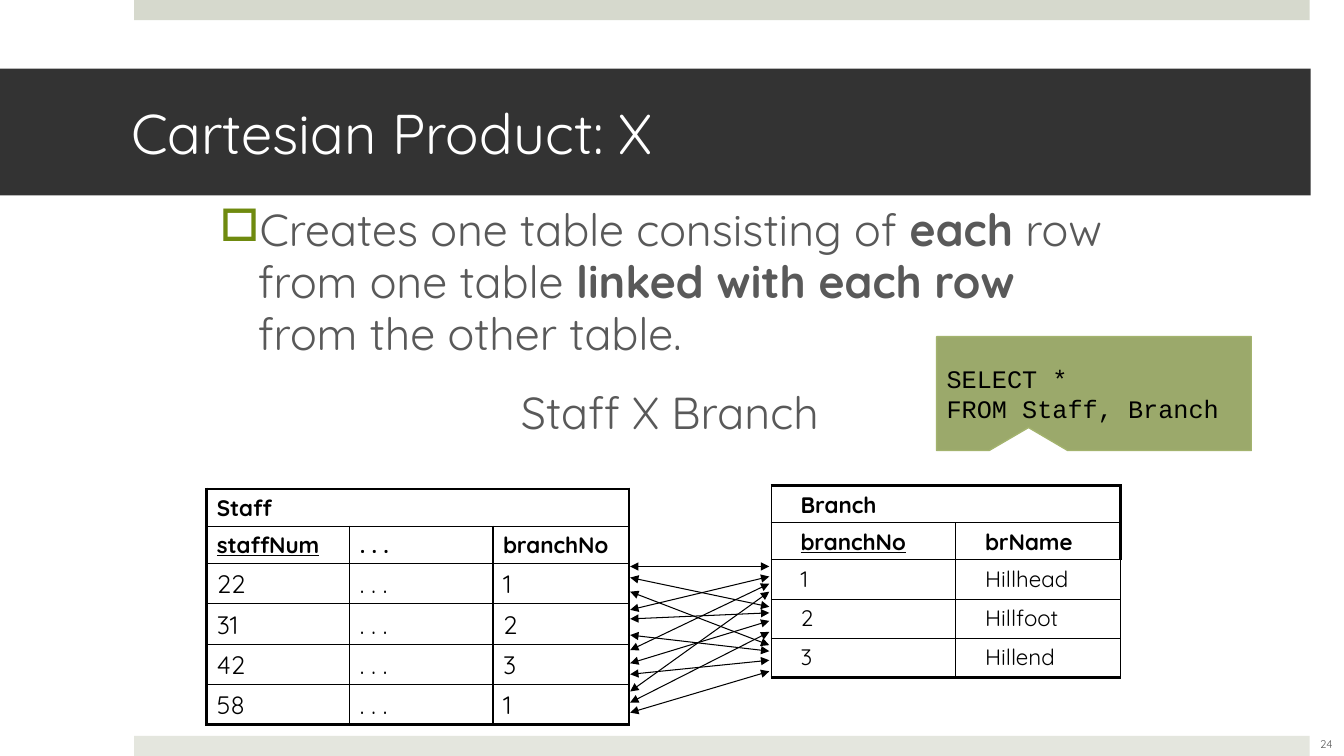
import pptx
import pptx.util
import pptx.dml.color
import pptx.enum.shapes
import pptx.enum.text
from lxml import etree
from pptx.oxml.ns import qn
from pptx.util import Inches, Pt

Color = pptx.dml.color.RGBColor.from_string
Shape = pptx.enum.shapes.MSO_SHAPE
Align = pptx.enum.text.PP_ALIGN
Anchor = pptx.enum.text.MSO_ANCHOR


class Theme:
    sans, mono = "Quicksand", "Courier New"
    black, white, dark, gray = "000000", "FFFFFF", "333333", "595959"
    top, foot, mark = "D6D9CD", "E4E6DE", "6F8A0F"
    note, edge = "9BA96B", "A3B36E"
    title, body, code, large, cell, page = 40, 32, 18, 18, 16, 8
    thin, thick, arrow = 1, 2.25, 0.75


def write(para, text, size, color, font=Theme.sans, **form):
    """Add a run to the paragraph; form holds further font attributes."""
    run = para.add_run()
    run.text = text
    run.font.color.rgb = Color(color)
    for key, value in {"name": font, "size": Pt(size), **form}.items():
        setattr(run.font, key, value)


def border(cell, sides):
    """Draw cell edges; sides maps L, R, T and B to widths in points."""
    props = cell._tc.get_or_add_tcPr()
    for place, side in enumerate("LRTB"):
        line = etree.Element(qn(f"a:ln{side}"), w=str(Pt(sides[side])))
        fill = etree.SubElement(line, qn("a:solidFill"))
        etree.SubElement(fill, qn("a:srgbClr"), val=Theme.black)
        props.insert(place, line)


deck = pptx.Presentation()
deck.slide_width, deck.slide_height = Inches(13.33), Inches(7.5)
slide = deck.slides.add_slide(deck.slide_layouts[5])
shapes = slide.shapes

# Bands at the top and foot of the page
for y, color in ((0, Theme.top), (7.3, Theme.foot)):
    band = shapes.add_shape(Shape.RECTANGLE, Inches(1.33), Inches(y), Inches(11.66), Inches(0.2))
    band.shadow.inherit = False
    band.fill.solid()
    band.fill.fore_color.rgb = Color(color)
    band.line.fill.background()

# Title
title = shapes.title
spot = {"left": 0, "top": 0.68, "width": 13, "height": 1.26}
for key, value in spot.items():
    setattr(title, key, Inches(value))
title.fill.solid()
title.fill.fore_color.rgb = Color(Theme.dark)
frame = title.text_frame
form = {
    "margin_left": Inches(1.3), "margin_right": Inches(0.3),
    "vertical_anchor": Anchor.MIDDLE, "word_wrap": True,
    "auto_size": pptx.enum.text.MSO_AUTO_SIZE.NONE,
}
for key, value in form.items():
    setattr(frame, key, value)
frame.paragraphs[0].alignment = Align.LEFT
write(frame.paragraphs[0], "Cartesian Product: X", Theme.title, Theme.white)

# Statement
box = shapes.add_textbox(Inches(2.08), Inches(1.99), Inches(9.13), Inches(5.19))
frame = box.text_frame
frame.word_wrap = True
lead, name = frame.paragraphs[0], frame.add_paragraph()
for para in (lead, name):
    para.space_before = Pt(20)
    para.line_spacing = 0.96
props = lead._p.get_or_add_pPr()
props.set("marL", str(Inches(0.38)))
props.set("indent", str(Inches(-0.38)))
mark = etree.SubElement(props, qn("a:buClr"))
etree.SubElement(mark, qn("a:srgbClr"), val=Theme.mark)
etree.SubElement(props, qn("a:buChar"), char="□")
words = (
    "Creates one table consisting of ", "each", " row from one table ",
    "linked with each row ", "from the other table.",
)
for place, text in enumerate(words):
    write(lead, text, Theme.body, Theme.gray, bold=place % 2 == 1)
name.alignment = Align.CENTER
write(name, "Staff X Branch", Theme.body, Theme.gray)

# Staff and Branch tables; the second row holds the column names, key first
tables = (
    {
        "at": (2.05, 4.85), "cols": (1.42, 1.42, 1.35), "pad": 0.1,
        "high": (0.37, 0.4), "size": Theme.large, "left": Theme.thick,
        "bold_edge": 6,
        "rows": (
            ("Staff",), ("staffNum", ". . .", "branchNo"),
            ("22", ". . .", "1"), ("31", ". . .", "2"),
            ("42", ". . .", "3"), ("58", ". . .", "1"),
        ),
    },
    {
        "at": (7.65, 4.82), "cols": (1.83, 1.63), "pad": 0.29,
        "high": (0.35, 0.39), "size": Theme.cell, "left": Theme.thin,
        "bold_edge": 2,
        "rows": (
            ("Branch",), ("branchNo", "brName"),
            ("1", "Hillhead"), ("2", "Hillfoot"), ("3", "Hillend"),
        ),
    },
)
for data in tables:
    rows, cols = data["rows"], data["cols"]
    highs = [data["high"][row > 1] for row in range(len(rows))]
    x, y = data["at"]
    grid = shapes.add_table(
        len(rows), len(cols), Inches(x), Inches(y), Inches(sum(cols)), Inches(sum(highs))
    ).table
    grid.first_row = grid.horz_banding = False
    for col, wide in enumerate(cols):
        grid.columns[col].width = Inches(wide)
    grid.cell(0, 0).merge(grid.cell(0, len(cols) - 1))
    for row, texts in enumerate(rows):
        grid.rows[row].height = Inches(highs[row])
        head = row < 2
        for col in range(len(cols)):
            cell = grid.cell(row, col)
            cell.fill.background()
            cell.margin_left = cell.margin_right = Inches(data["pad"])
            last = col == len(cols) - 1 or row == 0
            border(cell, {
                "L": data["left"] if col == 0 else Theme.thin,
                "R": Theme.thick if last and row < data["bold_edge"] else Theme.thin,
                "T": Theme.thick if row == 0 else Theme.thin,
                "B": Theme.thick if row == len(rows) - 1 else Theme.thin,
            })
            if col < len(texts):
                write(
                    cell.text_frame.paragraphs[0], texts[col],
                    Theme.cell if head else data["size"], Theme.black,
                    bold=head, underline=row == 1 and col == 0,
                )

# Arrows: each Staff row meets all three Branch rows
links = (
    ((5.62, 5.62), (5.73, 6.02), (5.87, 6.4)),
    ((6.05, 5.72), (6.14, 6.08), (6.3, 6.46)),
    ((6.45, 5.79), (6.58, 6.16), (6.69, 6.55)),
    ((6.86, 5.87), (6.97, 6.27), (7.07, 6.66)),
)
for staff in links:
    for start, end in staff:
        link = shapes.add_connector(
            pptx.enum.shapes.MSO_CONNECTOR.STRAIGHT,
            Inches(6.25), Inches(start), Inches(7.63), Inches(end),
        )
        link.line.color.rgb = Color(Theme.black)
        link.line.width = Pt(Theme.arrow)
        for tip in ("a:headEnd", "a:tailEnd"):
            etree.SubElement(link.line._get_or_add_ln(), qn(tip), type="triangle")
        etree.SubElement(link._element.spPr, qn("a:effectLst"))

# Query callout
query = shapes.add_shape(
    Shape.RECTANGULAR_CALLOUT, Inches(9.29), Inches(3.34), Inches(3.12), Inches(1.13)
)
query.adjustments[0], query.adjustments[1] = -0.208, 0.298
query.shadow.inherit = False
query.fill.solid()
query.fill.fore_color.rgb = Color(Theme.note)
query.line.color.rgb = Color(Theme.edge)
query.line.width = Pt(1)
frame = query.text_frame
frame.vertical_anchor = Anchor.MIDDLE
for para, text in (
    (frame.paragraphs[0], "SELECT *"),
    (frame.add_paragraph(), "FROM Staff, Branch"),
):
    para.alignment = Align.LEFT
    write(para, text, Theme.code, Theme.black, Theme.mono)

# Page number
page = shapes.add_textbox(Inches(12.82), Inches(7.18), Inches(0.67), Inches(0.4))
frame = page.text_frame
frame.word_wrap = True
frame.vertical_anchor = Anchor.MIDDLE
frame.paragraphs[0].alignment = Align.CENTER
write(frame.paragraphs[0], "24", Theme.page, Theme.gray)

deck.save("out.pptx")
